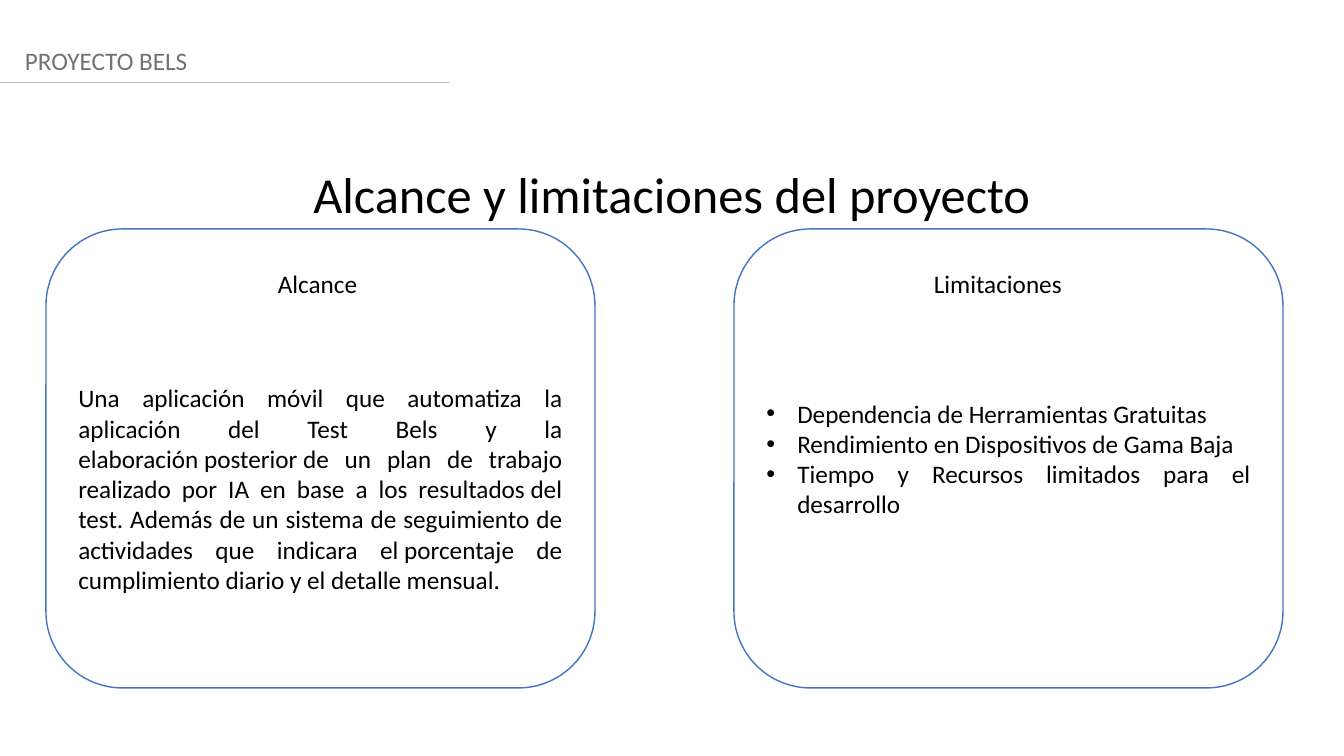
from lxml import etree
from pptx import Presentation
from pptx import util as u
from pptx.dml.color import RGBColor
from pptx.enum import shapes, text
from pptx.oxml.ns import qn

PX = 914400 / 100.8
HARD_SPACE = chr(160)
BLACK = RGBColor(0x00, 0x00, 0x00)
WHITE = RGBColor(0xFF, 0xFF, 0xFF)
GREY = RGBColor(0x76, 0x71, 0x71)
LIGHT_GREY = RGBColor(0xBF, 0xBF, 0xBF)
BLUE = RGBColor(0x44, 0x72, 0xC4)


def px(*lengths):
    return [u.Emu(round(length * PX)) for length in lengths]


def write(paragraph, words, size=18, color=BLACK, align=text.PP_ALIGN.LEFT):
    paragraph.text = words
    paragraph.alignment = align
    paragraph.font.name = "Calibri"
    paragraph.font.size = u.Pt(size)
    paragraph.font.color.rgb = color


presentation = Presentation()
presentation.slide_width, presentation.slide_height = px(1344, 756)
slide = presentation.slides.add_slide(presentation.slide_layouts[5])

# Title
title = slide.shapes.title
title.left, title.top, title.width, title.height = px(0, 158, 1344, 72)
title.text_frame.auto_size = text.MSO_AUTO_SIZE.NONE
title.text_frame.vertical_anchor = text.MSO_ANCHOR.TOP
write(title.text_frame.paragraphs[0], "Alcance y limitaciones del proyecto",
      36, align=text.PP_ALIGN.CENTER)

# Header rule
rule = slide.shapes.add_connector(shapes.MSO_CONNECTOR.STRAIGHT, *px(0, 83, 450, 83))
rule.line.color.rgb = LIGHT_GREY
rule.line.width = u.Pt(0.75)
etree.SubElement(rule._element.spPr, qn("a:effectLst"))

# Cards: left edge, top inset, bulleted, paragraphs ("~" binds words together)
cards = [
    (734, 5, True, ["Dependencia de Herramientas Gratuitas",
                    "Rendimiento en Dispositivos de Gama Baja",
                    "Tiempo y Recursos limitados para el desarrollo"]),
    (46, 65, False, [
        "Una aplicación móvil que automatiza la aplicación del Test Bels y la "
        "elaboración~posterior~de un plan de trabajo realizado por IA en base a "
        "los resultados~del test. Además de un sistema de seguimiento de "
        "actividades que indicara el~porcentaje de cumplimiento diario y el "
        "detalle mensual."]),
]
for left, inset, bulleted, lines in cards:
    card = slide.shapes.add_shape(shapes.MSO_SHAPE.ROUNDED_RECTANGLE,
                                  *px(left, 229, 549, 459))
    card.shadow.inherit = False
    card.fill.solid()
    card.fill.fore_color.rgb = WHITE
    card.line.color.rgb = BLUE
    card.line.width = u.Pt(1)
    frame = card.text_frame
    frame.word_wrap = True
    frame.vertical_anchor = text.MSO_ANCHOR.MIDDLE
    frame.margin_top, = px(inset)
    for index, line in enumerate(lines):
        paragraph = frame.add_paragraph() if index else frame.paragraphs[0]
        if bulleted:
            properties = paragraph._p.get_or_add_pPr()
            indent, = px(31)
            properties.set("marL", str(indent))
            properties.set("indent", str(-indent))
            etree.SubElement(properties, qn("a:buFont"), typeface="Arial")
            etree.SubElement(properties, qn("a:buChar"), char="•")
        write(paragraph, line.replace("~", HARD_SPACE), align=text.PP_ALIGN.JUSTIFY)

# Header and card headings
labels = [
    ("PROYECTO BELS", 15, 40, 1329, GREY),
    ("Alcance", 268, 263, 105, BLACK),
    ("Limitaciones", 924, 263, 169, BLACK),
]
for words, left, top, width, color in labels:
    label = slide.shapes.add_textbox(*px(left, top, width, 40))
    label.text_frame.word_wrap = True
    write(label.text_frame.paragraphs[0], words, color=color)

presentation.save("out.pptx")
